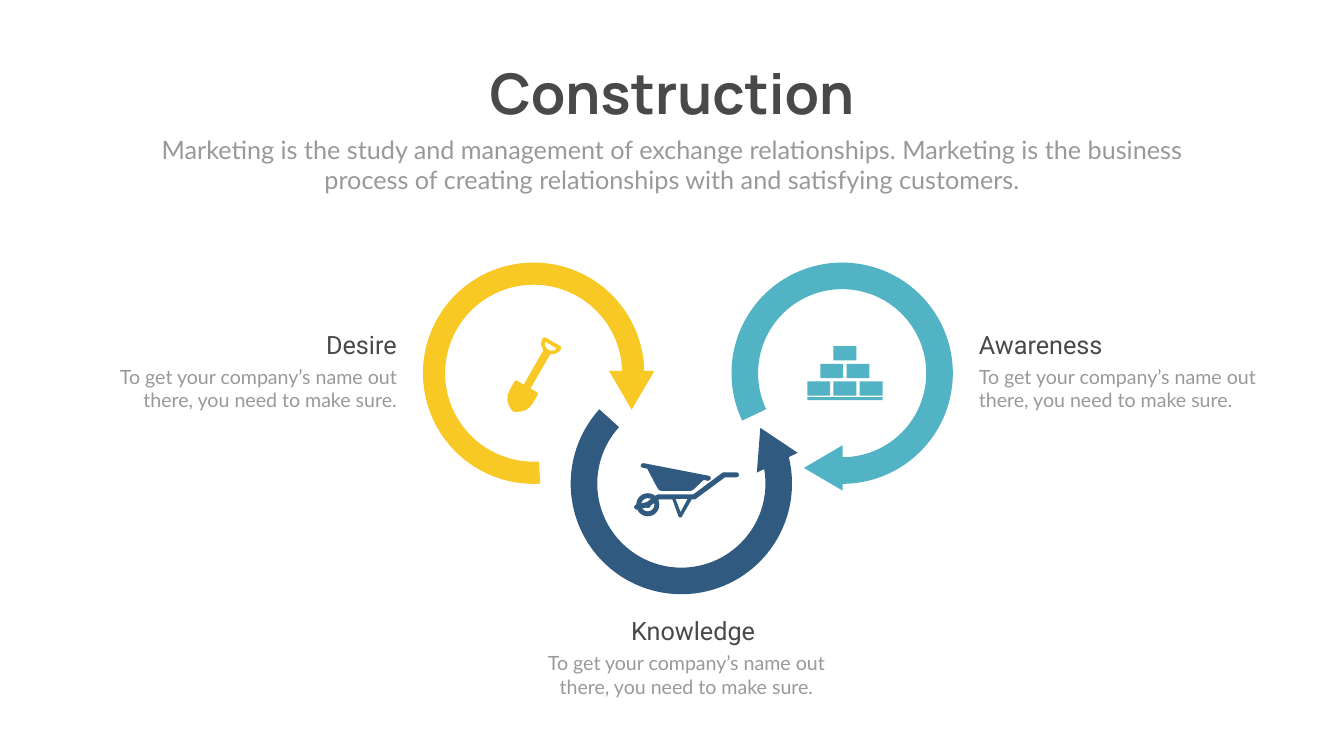
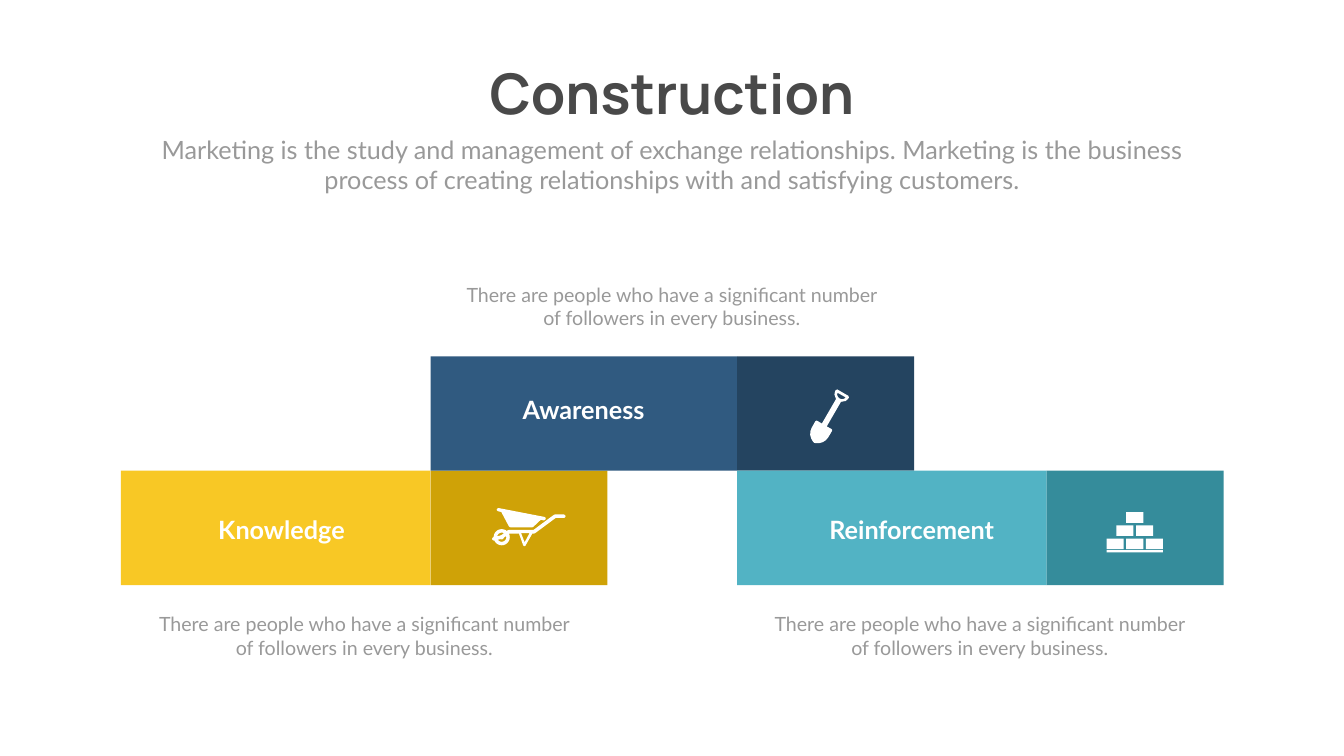
from math import cos, sin, radians
from pptx import Presentation
from pptx.util import Pt
from pptx.dml.color import RGBColor
from pptx.enum.shapes import MSO_SHAPE as SHAPE
from pptx.enum.text import MSO_AUTO_SIZE as FIT, PP_ALIGN as AL

C = {
    "dark": "494949", "grey": "999999", "white": "FFFFFF",
    "yellow": "F8C825", "gold": "CFA207",
    "blue": "305A80", "navy": "244460",
    "teal": "52B3C4", "deep_teal": "358C9B",
}


def text(sl, words, x, y, w, h, size=28, font="Lato", color="grey",
         bold=False, align=AL.CENTER, wrap=True):
    tf = sl.shapes.add_textbox(Pt(x), Pt(y), Pt(w), Pt(h)).text_frame
    tf.word_wrap = wrap
    tf.auto_size = FIT.SHAPE_TO_FIT_TEXT
    p = tf.paragraphs[0]
    p.alignment = align
    r = p.add_run()
    r.text = words
    r.font.size = Pt(size)
    r.font.name = font
    r.font.bold = bold
    r.font.color.rgb = RGBColor.from_string(C[color])


def paint(sp, color, rotation=0, flip=None):
    sp.shadow.inherit = False
    sp.fill.solid()
    sp.fill.fore_color.rgb = RGBColor.from_string(C[color])
    sp.line.fill.background()
    sp.rotation = rotation
    if flip:
        sp.element.spPr.xfrm.set(flip, "1")


prs = Presentation()
prs.slide_width, prs.slide_height = Pt(1919.52), Pt(1080)
cycle, bricks = [prs.slides.add_slide(prs.slide_layouts[6]) for _ in range(2)]

for sl in (cycle, bricks):
    text(sl, "Construction", 679.7, 80.6, 560.2, 104.4, size=80,
         font="Manrope", color="dark", bold=True, wrap=False)
    text(sl, "Marketing is the study and management of exchange relationships. "
         "Marketing is the business process of creating relationships with and "
         "satisfying customers.", 210.2, 187.9, 1499, 94.3, size=36)

rings = [
    ("yellow", 604.1, 375.1, 0, "flipV", (215.9, 164.06, 0.1), 869.8, 529.9, 0),
    ("blue", 815, 532.8, 270, "flipV", (28.69, 170.63, 0.12), 1065.6, 608.4, 154.1),
    ("teal", 1044.7, 375.1, 270, "flipH", (214.97, 177.21, 0.12), 1143.4, 640.8, 90),
]
for color, x, y, turn, flip, bend, hx, hy, head_turn in rings:
    arc = cycle.shapes.add_shape(SHAPE.BLOCK_ARC, Pt(x), Pt(y), Pt(316.1), Pt(316.1))
    for i, value in enumerate(bend):
        arc.adjustments[i] = value
    paint(arc, color, turn, flip)
    head = cycle.shapes.add_shape(SHAPE.ISOSCELES_TRIANGLE, Pt(hx), Pt(hy), Pt(64.8), Pt(55.4))
    paint(head, color, head_turn, "flipV")

stages = [
    ("Awareness", 1391, 1391, 466.6, AL.LEFT),
    ("Desire", 339.1, 152.6, 466.6, AL.RIGHT),
    ("Knowledge", 872.6, 769.7, 875.5, AL.CENTER),
]
for name, head_x, body_x, y, align in stages:
    text(cycle, "To get your company’s name out there, you need to make sure.",
         body_x, y + 51.1, 421.2, 74.9, align=align)
    text(cycle, name, head_x, y, 234.7, 51.1, size=36, font="Roboto",
         color="dark", align=align)

blocks = [
    ("Knowledge", "yellow", "gold", 172.8, 672.4, 442.1, 260.6, 731.5, 216.7, 871.2),
    ("Awareness", "blue", "navy", 614.9, 509, 437.8, 691.9, 560.2, 655.9, 400.3),
    ("Reinforcement", "teal", "deep_teal", 1052.7, 672.4, 442.1, 1160.6, 731.5, 1095.8, 871.2),
]
for name, light, shade, x, y, w, label_x, label_y, note_x, note_y in blocks:
    for color, left, width in ((light, x, w), (shade, x + w, 252.7)):
        sp = bricks.shapes.add_shape(SHAPE.RECTANGLE, Pt(left), Pt(y), Pt(width), Pt(163.4))
        paint(sp, color)
    text(bricks, name, label_x, label_y, 283, 51.1, size=36, color="white", bold=True)
    text(bricks, "There are people who have a significant number of followers "
         "in every business.", note_x, note_y, 607, 74.9)

shovel_half = [
    (12.9, -56.9), (15.2, -54.1), (14.4, -49.4), (12.7, -45.2), (6.2, -39.7),
    (5.6, -39.4), (5.6, 17), (16.3, 16.8), (18.4, 17.8), (19.1, 20.2),
    (19, 34.3), (17.8, 41.5), (14.5, 48), (9.4, 53.1), (2.9, 56.9), (0, 57.7),
]
grip_half = [(9.5, -51.5), (8, -47.5), (4.3, -44.6), (0, -43.6)]
shovel = [half + [(-x, y) for x, y in reversed(half)] for half in (shovel_half, grip_half)]

wheel = [[(-55.4 + radius * cos(radians(a)), 20.5 + radius * sin(radians(a)))
          for a in range(0, 360, 15)] for radius in (16.5, 9.4)]
frame = [
    [(71.3, -25.9), (53.3, -25.9), (51.1, -25.2), (9.4, 5.8), (-41, 5.8),
     (-43.2, 6.5), (-55.4, 15.8), (-59, 17.3), (-72, 20.2), (-74.5, 22),
     (-74.9, 24.5), (-73.8, 26.5), (-71.3, 27.4), (-57.6, 24.5), (-55.4, 25.2),
     (-52.5, 24.2), (-51.1, 21.6), (-39.6, 13), (-20.2, 13), (-11.5, 37.4),
     (-9.4, 38.9), (-7.2, 38.2), (7.2, 13), (10.8, 13), (13, 12.2),
     (54.7, -18.7), (71.3, -18.7), (73.9, -19.8), (74.9, -22.3), (73.9, -24.8)],
    [(-8.6, 31), (-15.8, 12.2), (1.4, 12.2)],
]
tray = [[
    (31.7, -20.9), (-61.2, -38.9), (-64, -38.3), (-65.5, -36), (-65, -33.8),
    (-62.6, -32.4), (-56.2, -31), (-41, -2.2), (-39, -0.2), (-36, 0.7),
    (5, 0.7), (8.2, 0), (10.8, -2.2), (24.5, -15.1), (30.2, -13.7),
    (33.2, -14.6), (34.6, -17.3), (33.9, -19.6),
]]
boxes = [(-53.7, 72.7, 107.4, 4.3)]
for row in range(3):
    for col in range(row + 1):
        boxes.append((37.4 * (col - row / 2) - 16.3, 25.2 * row, 32.6, 20.4))
wall = [[(x, y), (x + w, y), (x + w, y + h), (x, y + h)] for x, y, w, h in boxes]
barrow = [wheel, frame, tray]

icons = [
    (cycle, [shovel], 761, 537.5, 1, "yellow", 30),
    (cycle, barrow, 980.6, 700.6, 1, "blue", 0),
    (cycle, [wall], 1206.7, 494.6, 1, "teal", 0),
    (bricks, [shovel], 1183.3, 596.5, 0.72, "white", 30),
    (bricks, barrow, 755.3, 753.1, 0.7, "white", 0),
    (bricks, [wall], 1620.7, 731.5, 0.75, "white", 0),
]
for sl, parts, x, y, zoom, color, turn in icons:
    for part in parts:
        outlines = [[(px * 100, py * 100) for px, py in line] for line in part]
        fb = sl.shapes.build_freeform(*outlines[0][0], scale=Pt(0.01) * zoom)
        fb.add_line_segments(outlines[0][1:], close=True)
        for line in outlines[1:]:
            fb.move_to(*line[0])
            fb.add_line_segments(line[1:], close=True)
        paint(fb.convert_to_shape(Pt(x), Pt(y)), color, turn)

prs.save("out.pptx")
